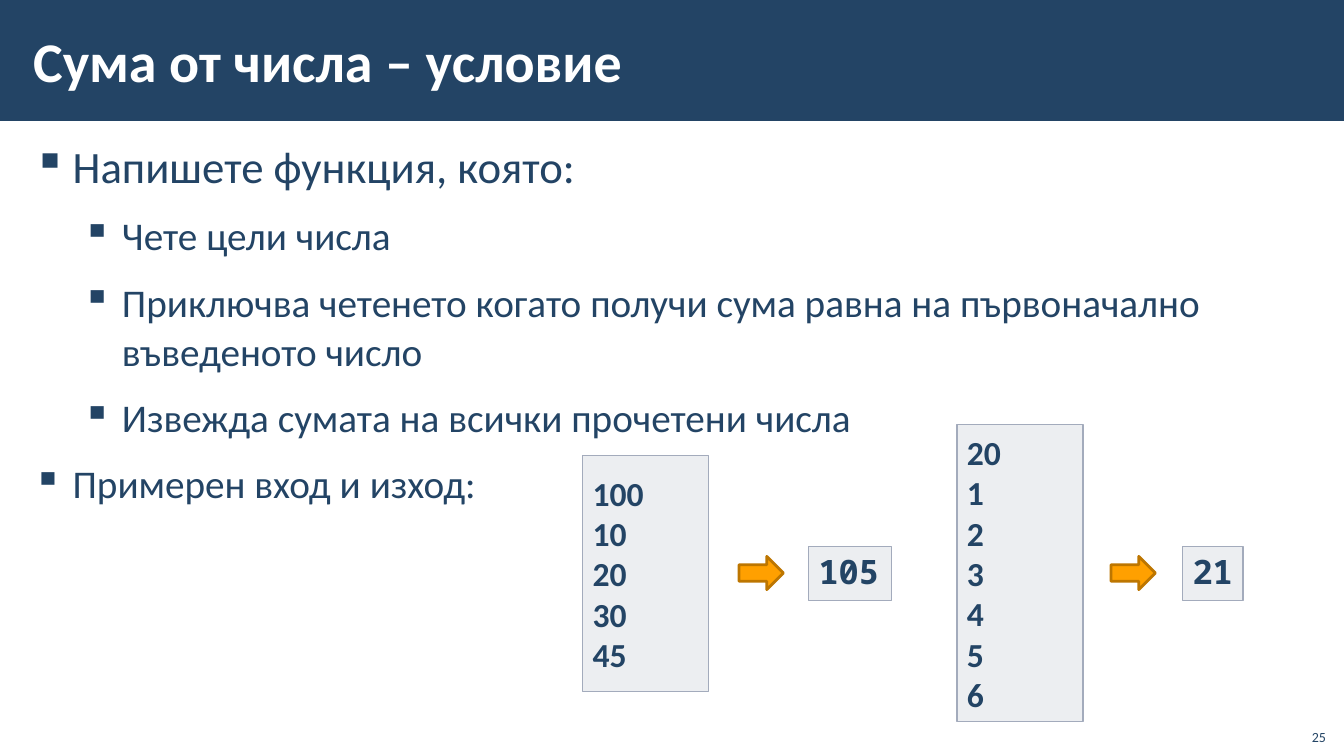
"""Build the slide that states the number sum task with two sample runs."""
from lxml.etree import SubElement
from pptx import Presentation
from pptx.dml.color import RGBColor
from pptx.enum.shapes import MSO_SHAPE
from pptx.enum.text import MSO_ANCHOR, PP_ALIGN
from pptx.oxml.ns import qn
from pptx.util import Pt

PX = 9144
NAVY, WHITE, GREY, ORANGE, BROWN = "234465", "FFFFFF", "A3ABBC", "FFA000", "BD7600"

TITLE = "Сума от числа – условие"
PAGE_NUMBER = "25"
TASK = [
    (0, 32, "Напишете функция, която:"),
    (1, 28, "Чете цели числа"),
    (1, 28, "Приключва четенето когато получи сума равна на първоначално въведеното число"),
    (1, 28, "Извежда сумата на всички прочетени числа"),
    (0, 28, "Примерен вход и изход:"),
]
EXAMPLES = [
    {"input": ["100", "10", "20", "30", "45"], "input_box": (578, 452, 125, 234),
     "arrow_left": 733, "output": "105", "output_left": 802, "output_width": 82},
    {"input": ["20", "1", "2", "3", "4", "5", "6"], "input_box": (949, 421, 125, 295),
     "arrow_left": 1102, "output": "21", "output_left": 1173, "output_width": 60},
]
ARROW_TOP, ARROW_WIDTH, ARROW_HEIGHT = 552, 44, 33
OUTPUT_TOP, OUTPUT_HEIGHT = 542, 54
HANGING, LEVEL_STEP = 39, 49


def color(value):
    return RGBColor.from_string(value)


def emu(lengths):
    return [length * PX for length in lengths]


def set_all(target, values):
    for name, value in values.items():
        setattr(target, name, value)


def write(frame, lines, size, font="Calibri", ink=NAVY, bold=False,
          align=PP_ALIGN.LEFT, inset=(10, 5), **frame_format):
    side, edge = emu(inset)
    set_all(frame, {"word_wrap": True, "margin_left": side, "margin_right": side,
                    "margin_top": edge, "margin_bottom": edge, **frame_format})
    for index, line in enumerate(lines):
        paragraph = frame.paragraphs[0] if index == 0 else frame.add_paragraph()
        paragraph.alignment = align
        run = paragraph.add_run()
        run.text = line
        set_all(run.font, {"name": font, "size": Pt(size), "bold": bold})
        run.font.color.rgb = color(ink)


def add_block(slide, kind, box, fill, line=None, width=1, opacity=None):
    block = slide.shapes.add_shape(kind, *emu(box))
    block.shadow.inherit = False
    block.fill.solid()
    block.fill.fore_color.rgb = color(fill)
    if opacity:
        tint = block.fill._xPr.find(qn("a:solidFill"))[0]
        SubElement(tint, qn("a:alpha"), val=str(opacity * 1000))
    if line:
        block.line.color.rgb = color(line)
        block.line.width = Pt(width)
    else:
        block.line.fill.background()
    return block


def add_text(slide, box, lines, size, **text_format):
    frame = slide.shapes.add_textbox(*emu(box)).text_frame
    write(frame, lines, size, **text_format)
    return frame


def add_task(slide):
    frame = add_text(slide, (21, 131, 1292, 605), [text for _, _, text in TASK], 28,
                     inset=(12, 4))
    for paragraph, (level, size, _) in zip(frame.paragraphs, TASK):
        set_all(paragraph, {"level": level, "line_spacing": 1.05,
                            "space_before": Pt(6), "space_after": Pt(6)})
        paragraph.runs[0].font.size = Pt(size)
        properties = paragraph._p.get_or_add_pPr()
        properties.set("marL", str((HANGING + level * LEVEL_STEP) * PX))
        properties.set("indent", str(-HANGING * PX))
        SubElement(properties, qn("a:buChar"), char="▪")


def add_example(slide, example):
    cell = {"fill": GREY, "line": GREY, "opacity": 20}
    numbers = add_block(slide, MSO_SHAPE.RECTANGLE, example["input_box"], **cell)
    write(numbers.text_frame, example["input"], 24, bold=True,
          vertical_anchor=MSO_ANCHOR.MIDDLE)
    arrow_box = (example["arrow_left"], ARROW_TOP, ARROW_WIDTH, ARROW_HEIGHT)
    add_block(slide, MSO_SHAPE.RIGHT_ARROW, arrow_box, ORANGE, BROWN, width=2)
    output_box = (example["output_left"], OUTPUT_TOP, example["output_width"], OUTPUT_HEIGHT)
    result = add_block(slide, MSO_SHAPE.RECTANGLE, output_box, **cell)
    write(result.text_frame, [example["output"]], 24, font="Noto Sans Mono", bold=True,
          word_wrap=False, vertical_anchor=MSO_ANCHOR.TOP)


def main():
    deck = Presentation()
    deck.slide_width, deck.slide_height = emu((1333, 750))
    slide = deck.slides.add_slide(deck.slide_layouts[6])
    add_block(slide, MSO_SHAPE.RECTANGLE, (0, 0, 1333, 120), NAVY)
    add_task(slide)
    add_text(slide, (21, 11, 1063, 97), [TITLE], 40, ink=WHITE, bold=True,
             inset=(12, 4), vertical_anchor=MSO_ANCHOR.MIDDLE)
    add_text(slide, (1285, 712, 40, 32), [PAGE_NUMBER], 10, align=PP_ALIGN.RIGHT,
             vertical_anchor=MSO_ANCHOR.BOTTOM)
    for example in EXAMPLES:
        add_example(slide, example)
    deck.save("out.pptx")


if __name__ == "__main__":
    main()
